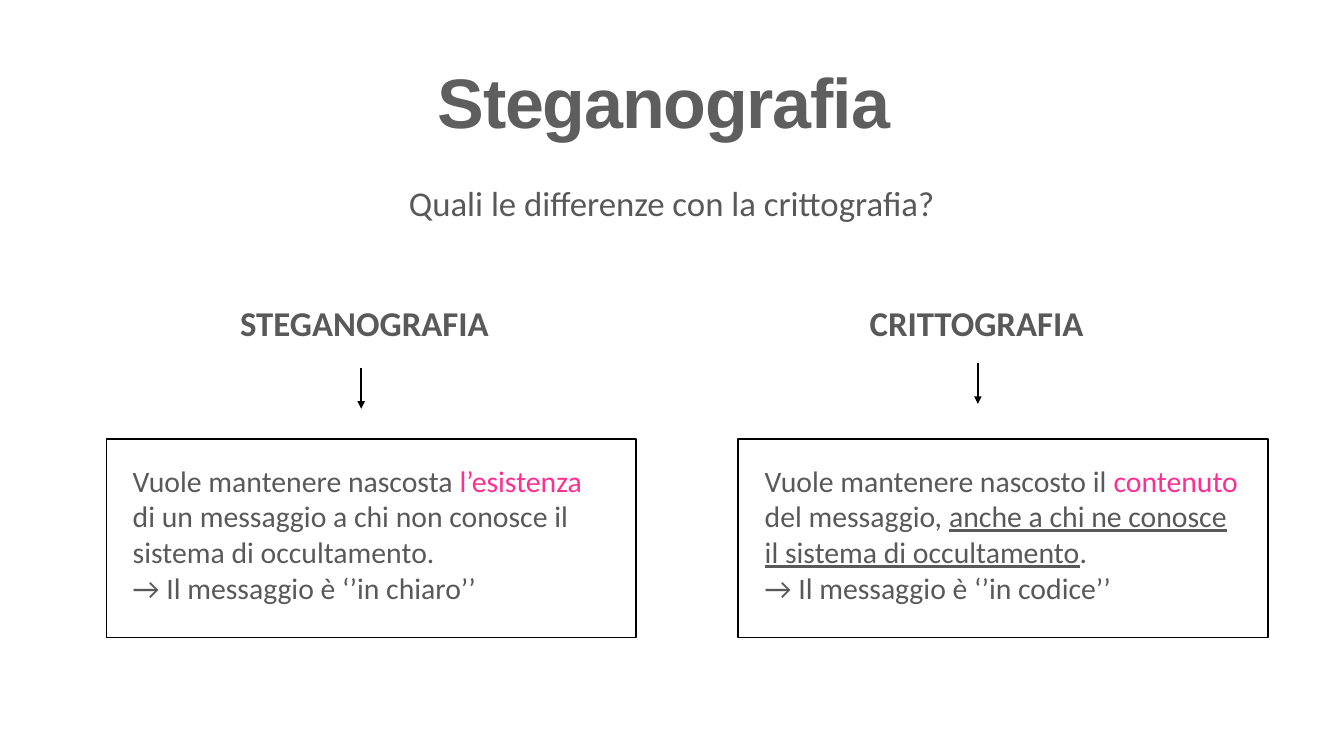
from dataclasses import dataclass

from lxml import etree
from pptx import Presentation
from pptx.dml.color import RGBColor
from pptx.enum import shapes, text
from pptx.oxml import ns
from pptx.util import Pt


@dataclass(frozen=True)
class Theme:
    title_color: RGBColor = RGBColor(0x5E, 0x5E, 0x5E)
    body_color: RGBColor = RGBColor(0x59, 0x59, 0x59)
    accent: RGBColor = RGBColor(0xFF, 0x2F, 0x92)
    line: RGBColor = RGBColor(0, 0, 0)
    title_font: str = "Arial"
    body_font: str = "Calibri"
    title_size: float = 82.5
    heading_size: float = 41
    body_size: float = 35


THEME = Theme()

COLUMNS = [
    {
        "heading": ("STEGANOGRAFIA", 275.8, 311.8),
        "left": 125.3,
        "arrow": (425.5, 433.4),
        "text": [
            [("Vuole mantenere nascosta ", ""), ("l’esistenza ", "accent"),
             ("di un messaggio a chi non conosce il sistema di occultamento.", "")],
            [("→ Il messaggio è ‘’in chiaro’’", "")],
        ],
    },
    {
        "heading": ("CRITTOGRAFIA", 1017.4, 267.8),
        "left": 869.8,
        "arrow": (1152, 427.7),
        "text": [
            [("Vuole mantenere nascosto il ", ""), ("contenuto ", "accent"),
             ("del messaggio, ", ""),
             ("anche a chi ne conosce il sistema di occultamento", "underline"),
             (".", "")],
            [("→ Il messaggio è ‘’in codice’’", "")],
        ],
    },
]


def style(r, size, color=THEME.body_color, name=THEME.body_font, bold=False):
    r.font.name = name
    r.font.size = Pt(size)
    r.font.bold = bold
    r.font.color.rgb = color


def set_title(s, title):
    sp = s.shapes.title
    sp.left, sp.top, sp.width, sp.height = Pt(515.5), Pt(68.4), Pt(552.2), Pt(100.8)
    tf = sp.text_frame
    tf.text = title
    tf.margin_left = tf.margin_right = tf.margin_bottom = 0
    tf.margin_top = Pt(0.7)
    tf.vertical_anchor = text.MSO_ANCHOR.TOP
    p = tf.paragraphs[0]
    p.alignment = text.PP_ALIGN.LEFT
    r = p.runs[0]
    style(r, THEME.title_size, THEME.title_color, THEME.title_font, True)
    r.font._element.set("spc", "-140")


def add_text(s, left, top, width, height):
    tf = s.shapes.add_textbox(Pt(left), Pt(top), Pt(width), Pt(height)).text_frame
    tf.word_wrap = True
    return tf


def add_heading(s, words, left, top, width, bold=False, align=text.PP_ALIGN.LEFT):
    tf = add_text(s, left, top, width, 56.9)
    tf.text = words
    p = tf.paragraphs[0]
    p.alignment = align
    style(p.runs[0], THEME.heading_size, bold=bold)


def add_frame(s, left):
    sp = s.shapes.add_shape(shapes.MSO_SHAPE.RECTANGLE, Pt(left), Pt(517), Pt(624), Pt(234))
    sp.shadow.inherit = False
    sp.fill.background()
    sp.line.color.rgb = THEME.line
    sp.line.width = Pt(2)


def add_description(s, left, paragraphs):
    tf = add_text(s, left, 541.4, 576, 177)
    for i, parts in enumerate(paragraphs):
        p = tf.add_paragraph() if i else tf.paragraphs[0]
        for words, mark in parts:
            r = p.add_run()
            r.text = words
            style(r, THEME.body_size, THEME.accent if mark == "accent" else THEME.body_color)
            r.font.underline = mark == "underline"


def add_arrow(s, x, top):
    arrow = s.shapes.add_connector(
        shapes.MSO_CONNECTOR.STRAIGHT, Pt(x), Pt(top), Pt(x), Pt(top + 48.2))
    arrow.line.color.rgb = THEME.line
    arrow.line.width = Pt(3)
    etree.SubElement(arrow.line._get_or_add_ln(), ns.qn("a:tailEnd"), type="triangle")
    etree.SubElement(arrow._element.spPr, ns.qn("a:effectLst"))


def main():
    prs = Presentation()
    prs.slide_width, prs.slide_height = Pt(1583.3), Pt(890.6)
    s = prs.slides.add_slide(prs.slide_layouts[5])
    set_title(s, "Steganografia")
    add_heading(s, "Quali le differenze con la crittografia?", 239.8, 211, 1103.8,
                align=text.PP_ALIGN.CENTER)
    for column in COLUMNS:
        words, left, width = column["heading"]
        add_heading(s, words, left, 352.1, width, bold=True)
        add_frame(s, column["left"])
        add_description(s, column["left"] + 24, column["text"])
        add_arrow(s, *column["arrow"])
    prs.save("out.pptx")


if __name__ == "__main__":
    main()
